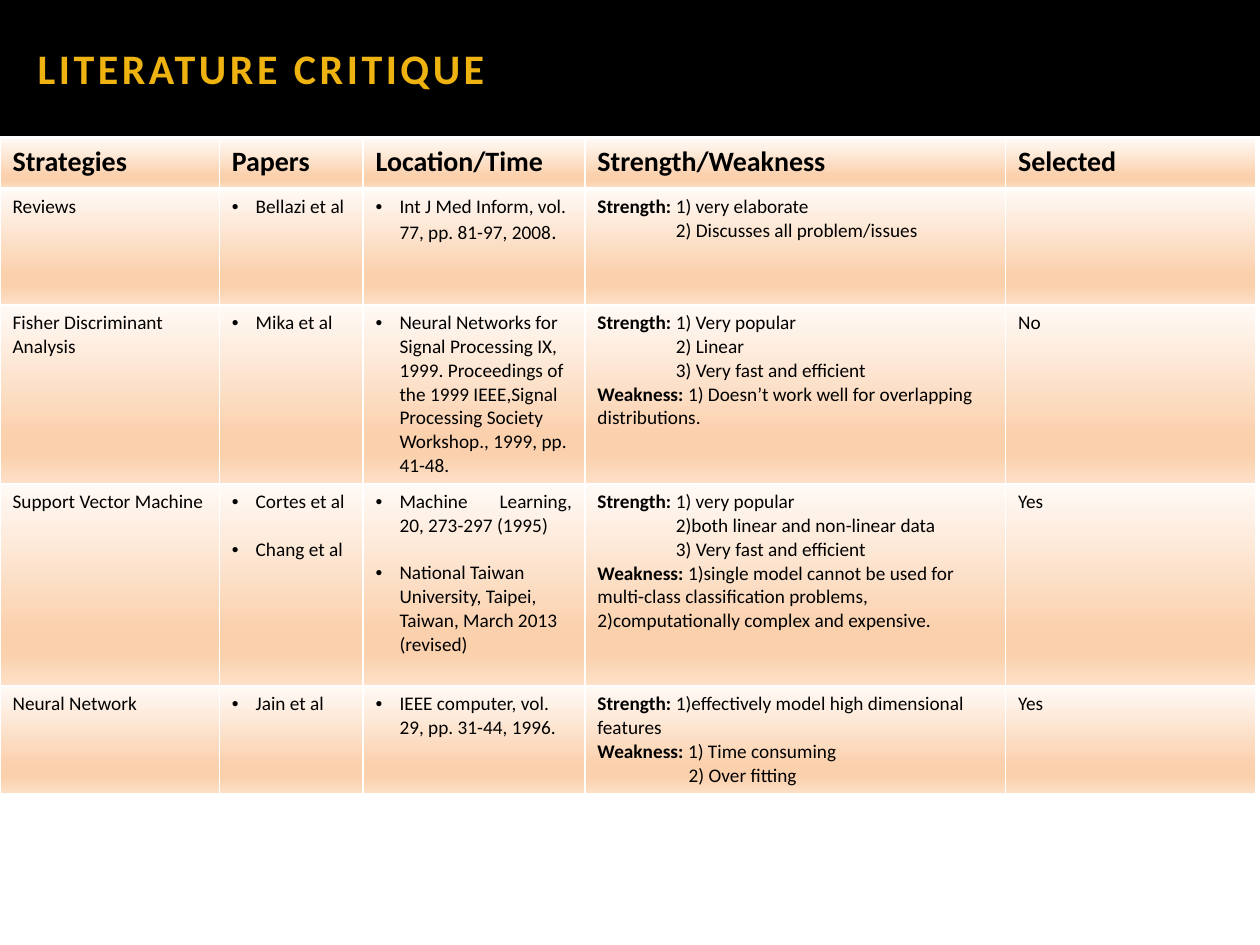
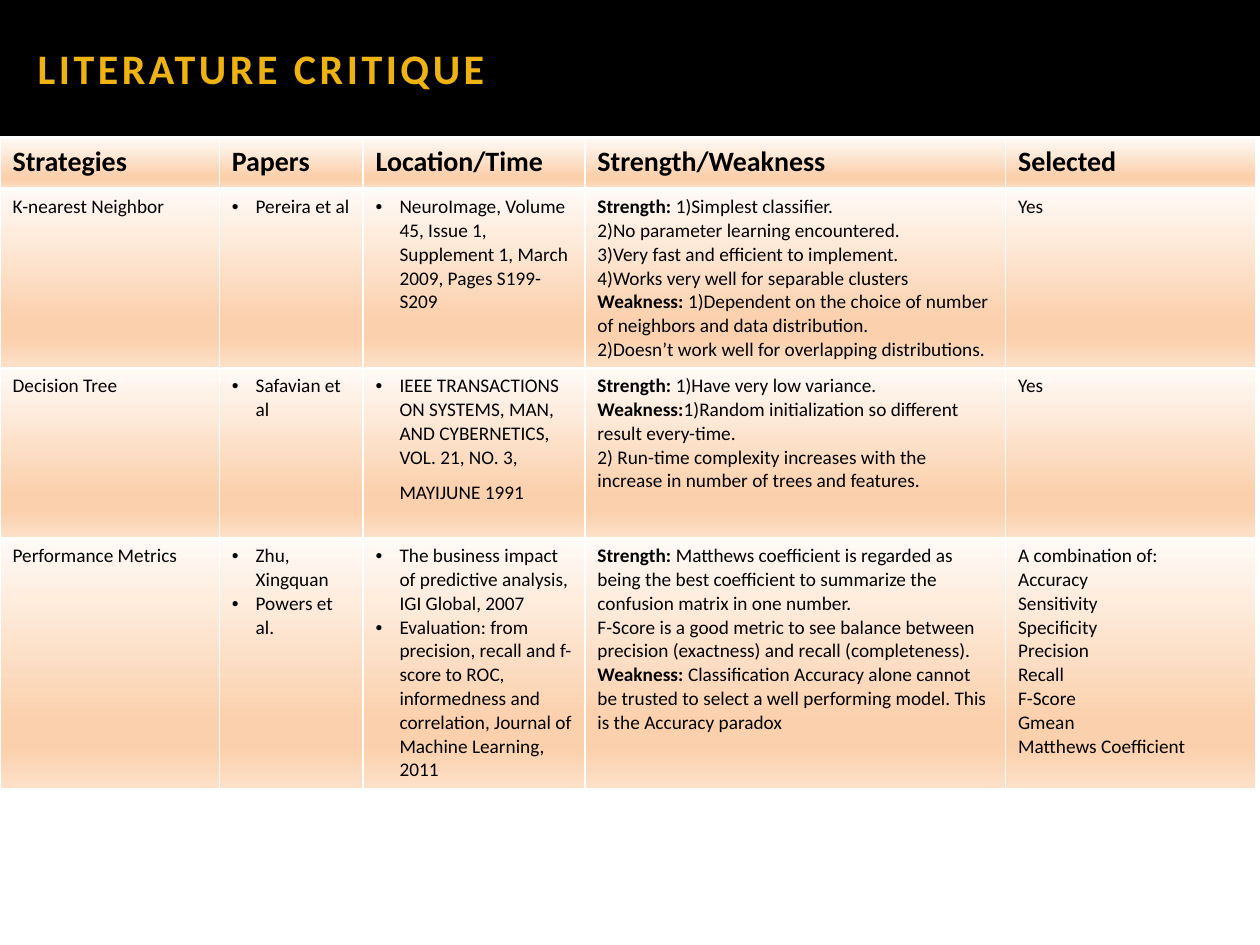
from dataclasses import dataclass

from lxml import etree
from pptx import Presentation
from pptx.dml.color import RGBColor
from pptx.enum.shapes import MSO_SHAPE
from pptx.enum.text import MSO_ANCHOR, PP_ALIGN
from pptx.oxml.ns import nsdecls, qn
from pptx.util import Cm, Pt

RECTANGLE = MSO_SHAPE.RECTANGLE
MIDDLE = MSO_ANCHOR.MIDDLE
LEFT, JUSTIFY = PP_ALIGN.LEFT, PP_ALIGN.JUSTIFY

BLACK = RGBColor(0x00, 0x00, 0x00)
WHITE = RGBColor(0xFF, 0xFF, 0xFF)
GOLD = RGBColor(0xEE, 0xB2, 0x11)
PEACH_PALE = RGBColor(0xFF, 0xFA, 0xF6)
PEACH_DEEP = RGBColor(0xFB, 0xD0, 0xAC)
PEACH_SOFT = RGBColor(0xFD, 0xE0, 0xC7)
CELL_STOPS = ((0, PEACH_PALE), (74, PEACH_DEEP), (83, PEACH_DEEP), (100, PEACH_SOFT))

FONT = "Calibri"
TITLE_SIZE, HEADER_SIZE, BODY_SIZE = 24, 16, 11
SLIDE_WIDTH, SLIDE_HEIGHT = Cm(25.4), Cm(19.05)
BAND_BOX = (0, 0, SLIDE_WIDTH, Cm(2.74))
TABLE_LEFT, TABLE_TOP = 0, Cm(2.79)
COLUMN_WIDTHS = (4.42, 2.9, 4.47, 8.48, 5.05)
HEADER_HEIGHT = 1.02
BULLET_INDENT = Cm(0.48)
BULLET_COLUMNS = (1, 2)
NBSP = chr(160)

TITLE = "LITERATURE CRITIQUE"
HEADERS = ("Strategies", "Papers", "Location/Time", "Strength/Weakness", "Selected")
LABELS = ("Strength:", "Weakness:")
UNDER_STRENGTH, UNDER_WEAKNESS = 1.58, 1.84  # cm, aligned with the first point


@dataclass
class Line:
    """One paragraph of a cell; tail is a closing run of another size."""
    text: str
    indent: float = 0
    align: int = LEFT
    gap: float = 0
    tail: str = ""
    tail_size: int = BODY_SIZE


# Each row: height in cm, then the paragraphs of its five cells
CLASSIFIERS = [
    (2.34, ["Reviews"], ["Bellazi et al"],
     [Line("Int J Med Inform, vol. 77, pp. 81-97, 2008", tail=".", tail_size=12)],
     ["Strength: 1) very elaborate",
      Line("2) Discusses all problem/issues", UNDER_STRENGTH)],
     []),
    (3.6, ["Fisher Discriminant Analysis"], ["Mika et al"],
     ["Neural Networks for Signal Processing IX, 1999. Proceedings of the 1999 "
      "IEEE,Signal Processing Society Workshop., 1999, pp. 41-48."],
     ["Strength: 1) Very popular",
      Line("2) Linear", UNDER_STRENGTH),
      Line("3) Very fast and efficient", UNDER_STRENGTH),
      "Weakness: 1) Doesn’t work well for overlapping distributions."],
     ["No"]),
    (4.07, ["Support Vector Machine"],
     ["Cortes et al", Line("Chang et al", gap=13.5)],
     [Line(f"Machine Learning, 20,{NBSP}273-297{NBSP}(1995)", align=JUSTIFY),
      Line("National Taiwan University, Taipei, Taiwan, March 2013 (revised)",
           gap=13.5)],
     ["Strength: 1) very popular",
      Line("2)both linear and non-linear data", UNDER_STRENGTH),
      Line("3) Very fast and efficient", UNDER_STRENGTH),
      "Weakness: 1)single model cannot be used for\n"
      "multi-class classification problems,\n"
      "2)computationally complex and expensive."],
     ["Yes"]),
    (2.18, ["Neural Network"], ["Jain et al"],
     ["IEEE computer, vol. 29, pp. 31-44, 1996."],
     ["Strength: 1)effectively model high dimensional features",
      "Weakness: 1) Time consuming",
      Line("2) Over fitting", UNDER_WEAKNESS)],
     ["Yes"]),
]

CLASSIFIERS_AND_METRICS = [
    (3.6, ["K-nearest Neighbor"], ["Pereira et al"],
     ["NeuroImage, Volume 45, Issue 1, Supplement 1, March 2009, Pages S199-S209"],
     ["Strength: 1)Simplest classifier.",
      "2)No parameter learning encountered.",
      "3)Very fast and efficient to implement.",
      "4)Works very well for separable clusters",
      "Weakness: 1)Dependent on the choice of number of neighbors and data "
      "distribution.",
      "2)Doesn’t work well for overlapping distributions."],
     ["Yes"]),
    (3.43, ["Decision Tree"], ["Safavian et al"],
     [Line("IEEE TRANSACTIONS ON SYSTEMS, MAN, AND CYBERNETICS, VOL. 21, NO. 3, "
           "MAYIJUNE 1991", tail=" ", tail_size=18)],
     ["Strength: 1)Have very low variance.",
      "Weakness:1)Random initialization so different result every-time.",
      "2) Run-time complexity increases with the increase in number of trees "
      "and features."],
     ["Yes"]),
    (5.03, ["Performance Metrics"], ["Zhu, Xingquan", "Powers et al."],
     ["The business impact of predictive analysis, IGI Global, 2007",
      "Evaluation: from precision, recall and f-score to ROC, informedness and "
      "correlation, Journal of Machine Learning, 2011"],
     ["Strength: Matthews coefficient is regarded as being the best coefficient "
      "to summarize the confusion matrix in one number.",
      "F-Score is a good metric to see balance between precision (exactness) and "
      "recall (completeness).",
      "Weakness: Classification Accuracy alone cannot be trusted to select a well "
      "performing model. This is the Accuracy paradox"],
     ["A combination of:", "Accuracy", "Sensitivity", "Specificity", "Precision",
      "Recall", "F-Score", "Gmean", "Matthews Coefficient"]),
]


def add_run(paragraph, text, size, color=BLACK, bold=False):
    run = paragraph.add_run()
    run.text = text
    run.font.name, run.font.size, run.font.bold = FONT, Pt(size), bold
    run.font.color.rgb = color
    return run


def add_title_band(slide, box):
    band = slide.shapes.add_shape(RECTANGLE, *box)
    band.shadow.inherit = False
    band.fill.solid()
    band.fill.fore_color.rgb = BLACK
    band.line.fill.background()
    frame = band.text_frame
    frame.word_wrap = True
    frame.vertical_anchor = MIDDLE
    frame.margin_left = Cm(0.76)
    heading = frame.paragraphs[0]
    heading.alignment = LEFT
    run = add_run(heading, TITLE, TITLE_SIZE, GOLD, bold=True)
    run.font._element.set("spc", "200")


def style_cell(cell, bottom_width=1):
    """White borders and the peach gradient, in schema order."""
    properties = cell._tc.get_or_add_tcPr()
    for side, width in (("L", 1), ("R", 1), ("T", 1), ("B", bottom_width)):
        properties.append(etree.fromstring(
            f'<a:ln{side} {nsdecls("a")} w="{Pt(width)}"><a:solidFill>'
            f'<a:srgbClr val="{WHITE}"/></a:solidFill></a:ln{side}>'))
    stops = "".join(f'<a:gs pos="{position * 1000}"><a:srgbClr val="{color}"/></a:gs>'
                    for position, color in CELL_STOPS)
    properties.append(etree.fromstring(
        f'<a:gradFill {nsdecls("a")} rotWithShape="1"><a:gsLst>{stops}</a:gsLst>'
        '<a:lin ang="5400000" scaled="0"/></a:gradFill>'))


def set_indent(paragraph, left, bulleted):
    properties = paragraph._p.get_or_add_pPr()
    properties.set("marL", str(left))
    properties.set("indent", str(-left if bulleted else 0))
    if bulleted:
        etree.SubElement(properties, qn("a:buFont")).set("typeface", "Arial")
        etree.SubElement(properties, qn("a:buChar")).set("char", "•")


def add_line(paragraph, line, bulleted):
    set_indent(paragraph, BULLET_INDENT if bulleted else Cm(line.indent), bulleted)
    paragraph.alignment = line.align
    if line.gap:
        paragraph.space_before = Pt(line.gap)
    text = line.text
    for label in LABELS:
        if text.startswith(label):
            add_run(paragraph, label, BODY_SIZE, bold=True)
            text = text.removeprefix(label)
    for number, part in enumerate(text.split("\n")):
        if number:
            paragraph.add_line_break()
        add_run(paragraph, part, BODY_SIZE)
    if line.tail:
        add_run(paragraph, line.tail, line.tail_size)


def fill_cell(cell, lines, bulleted):
    style_cell(cell)
    frame = cell.text_frame
    for number, line in enumerate(lines):
        paragraph = frame.add_paragraph() if number else frame.paragraphs[0]
        add_line(paragraph, Line(line) if isinstance(line, str) else line, bulleted)


def add_critique_table(slide, left, top, rows):
    heights = [HEADER_HEIGHT] + [row[0] for row in rows]
    table = slide.shapes.add_table(
        len(heights), len(HEADERS), left, top,
        Cm(sum(COLUMN_WIDTHS)), Cm(sum(heights))).table
    table.first_row = table.horz_banding = False
    for column, width in zip(table.columns, COLUMN_WIDTHS):
        column.width = Cm(width)
    for table_row, height in zip(table.rows, heights):
        table_row.height = Cm(height)

    # Header row
    for column, header in enumerate(HEADERS):
        cell = table.cell(0, column)
        style_cell(cell, bottom_width=3)
        add_run(cell.text_frame.paragraphs[0], header, HEADER_SIZE, bold=True)

    # One row per strategy
    for row, (_, *cells) in enumerate(rows, start=1):
        for column, lines in enumerate(cells):
            fill_cell(table.cell(row, column), lines, column in BULLET_COLUMNS)


def add_critique_slide(presentation, rows):
    slide = presentation.slides.add_slide(presentation.slide_layouts[6])
    add_title_band(slide, BAND_BOX)
    add_critique_table(slide, TABLE_LEFT, TABLE_TOP, rows)


def main():
    presentation = Presentation()
    presentation.slide_width, presentation.slide_height = SLIDE_WIDTH, SLIDE_HEIGHT
    for rows in (CLASSIFIERS, CLASSIFIERS_AND_METRICS):
        add_critique_slide(presentation, rows)
    presentation.save("out.pptx")


if __name__ == "__main__":
    main()
